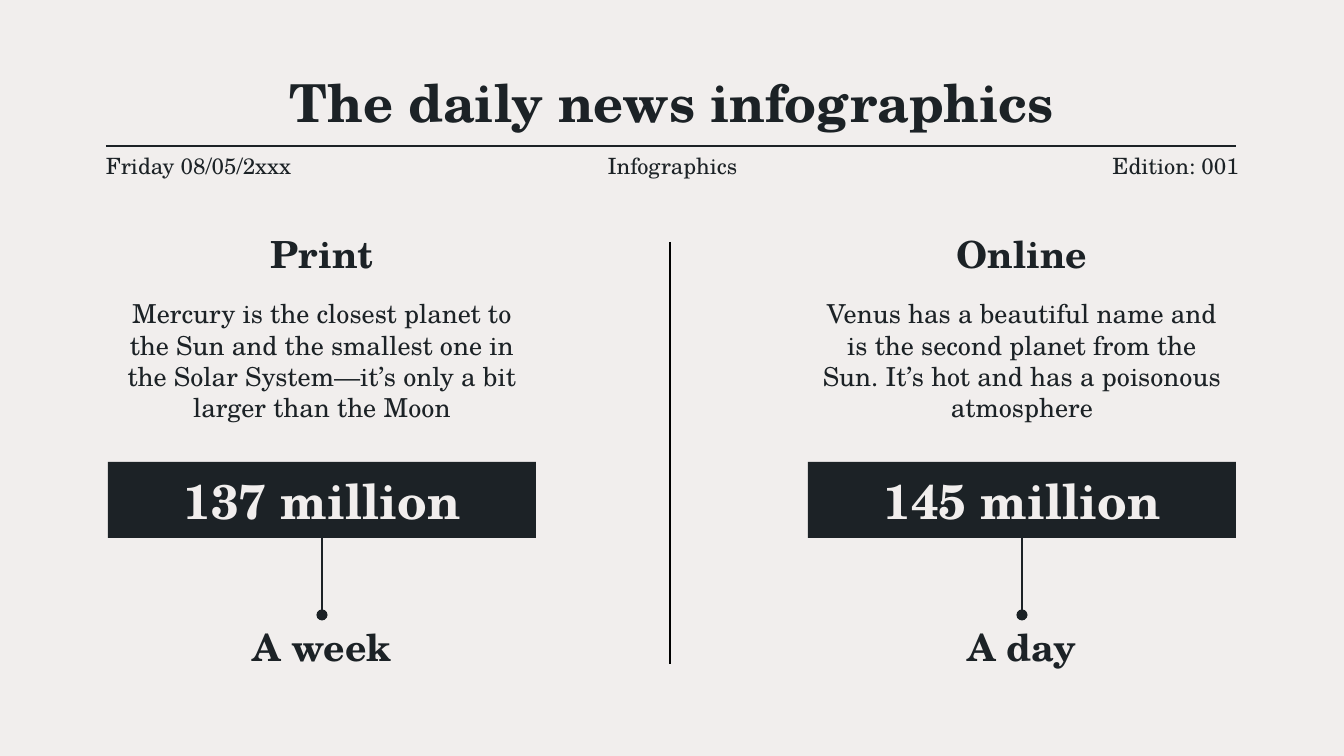
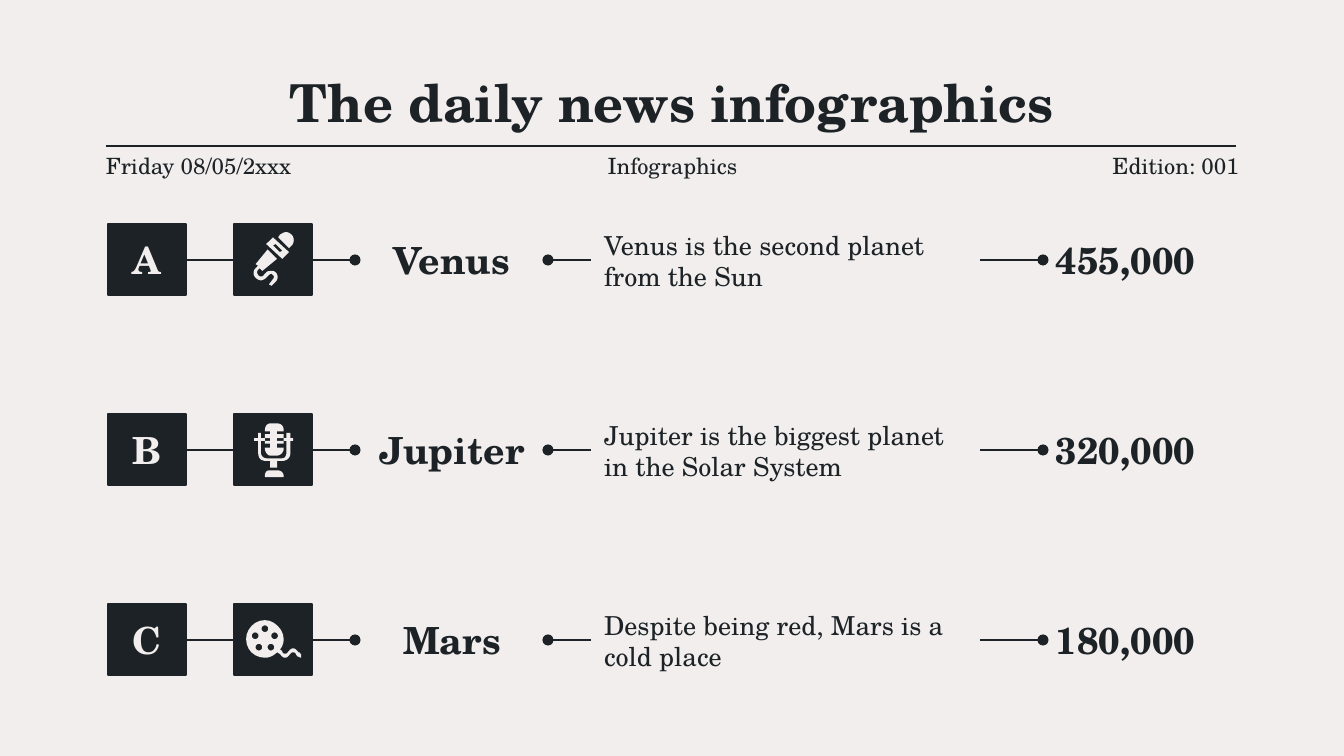
from math import cos, pi, sin

from lxml import etree
from pptx import Presentation
from pptx.dml.color import RGBColor
from pptx.enum.shapes import MSO_CONNECTOR, MSO_SHAPE
from pptx.enum.text import MSO_ANCHOR, PP_ALIGN
from pptx.oxml.ns import qn
from pptx.util import Pt

PAPER = RGBColor(0xF1, 0xEE, 0xED)
INK = RGBColor(0x1C, 0x22, 0x26)
BLACK = RGBColor(0, 0, 0)
FONT = "TeX Gyre Schola"
LEFT, CENTER, RIGHT = PP_ALIGN.LEFT, PP_ALIGN.CENTER, PP_ALIGN.RIGHT
MIDDLE = MSO_ANCHOR.MIDDLE
RECTANGLE = MSO_SHAPE.RECTANGLE
STRAIGHT = MSO_CONNECTOR.STRAIGHT

EMU_PER_PX = 914400 / 134.4
ICON_UNIT = 1.344
CURVE_STEPS = 6

MARGIN = 108
STRIP = [("Friday 08/05/2xxx", LEFT), ("Infographics", CENTER), ("Edition: 001", RIGHT)]
CHANNELS = [
    ("Print", "Mercury is the closest planet to the Sun and the smallest one in "
     "the Solar System—it’s only a bit larger than the Moon", "137 million", "A week"),
    ("Online", "Venus has a beautiful name and is the second planet from the Sun. "
     "It’s hot and has a poisonous atmosphere", "145 million", "A day"),
]

HAND_MIC = [
    "M 31 15 L 36 20 34 21 29 16 M 29 10 L 24 15 36 26 41 21",
    "M 25 19 L 16 30 18 31 16 33 C 14 35 14 38 16 40 17 41 19 42 20 42 "
    "21 42 23 41 24 40 L 26 38 C 26 38 27 37 28 37 28 37 29 38 29 38 "
    "30 39 30 40 29 41 L 26 45 28 46 31 43 C 33 41 33 38 31 36 "
    "30 35 29 35 28 35 26 35 25 35 24 36 L 22 38 C 22 39 21 39 20 39 "
    "19 39 19 39 18 38 17 37 17 35 18 34 L 19 33 21 35 32 26",
    "M 39 6 C 37 6 36 7 34 8 34 9 33 9 33 10 L 41 18 "
    "C 42 17 42 17 43 16 45 14 45 10 43 8 42 7 40 6 39 6",
]
STUDIO_MIC = [
    "M 26 42 C 24 42 23 44 23 46 L 23 47 37 47 37 46 C 37 44 35 42 33 42",
    "M 18 14 L 18 18 15 18 15 20 18 20 18 29 C 18 33 20 35 24 35 "
    "L 27 35 27 40 32 40 32 35 36 35 C 39 35 42 33 42 29 "
    "L 42 20 44 20 44 18 42 18 42 14 39 14 39 18 37 18 37 20 39 20 39 29 "
    "C 39 31 38 33 36 33 L 24 33 C 22 33 20 31 20 29 "
    "L 20 20 23 20 23 18 20 18 20 14",
    "M 27 7 C 25 7 23 9 23 12 L 23 13 27 13 27 15 23 15 23 18 27 18 27 20 "
    "23 20 23 22 27 22 27 25 23 25 23 26 C 23 28 25 31 27 31 "
    "L 32 31 C 35 31 37 28 37 26 L 37 25 32 25 32 22 37 22 37 20 32 20 "
    "32 18 37 18 37 15 32 15 32 13 37 13 37 12 C 37 9 35 7 32 7",
]
FILM = (
    "M 23 12 C 15 12 9 19 9 26 9 34 15 40 23 40 27 40 30 38 32 36 "
    "33 36 33 37 34 37 35 38 36 40 38 40 40 40 41 38 42 37 43 36 43 36 44 36 "
    "45 36 45 36 46 37 46 38 47 38 47 39 48 39 49 40 50 40 L 50 37 "
    "C 50 37 49 37 49 37 49 36 49 36 48 36 47 35 46 33 44 33 "
    "42 33 41 35 40 36 39 37 39 37 38 37 37 37 37 37 36 36 36 35 35 34 34 34 "
    "36 32 37 29 37 26 37 19 30 12 23 12"
)


def ring(center_x, center_y, radius, count):
    angles = [2 * pi * i / count - pi / 2 for i in range(count)]
    return [(center_x + radius * cos(a), center_y + radius * sin(a)) for a in angles]


def outlines(path):
    """Turn a path of M, L and C commands into closed lists of points."""
    contours, command, pending = [], "", []
    for token in path.split():
        if token.isalpha():
            command = token
            continue
        pending.append(int(token))
        if len(pending) < (6 if command == "C" else 2):
            continue
        pairs = list(zip(pending[::2], pending[1::2]))
        pending = []
        if command == "M":
            contours.append(pairs)
        elif command == "L":
            contours[-1] += pairs
        else:
            curve = [contours[-1][-1]] + pairs
            for step in range(1, CURVE_STEPS + 1):
                t = step / CURVE_STEPS
                weights = ((1 - t) ** 3, 3 * t * (1 - t) ** 2, 3 * t * t * (1 - t), t ** 3)
                contours[-1].append(tuple(
                    sum(w * point[axis] for w, point in zip(weights, curve))
                    for axis in (0, 1)))
    return contours


REEL_HOLES = [ring(x, y, 2.5, 16) for x, y in ring(23, 26, 7.6, 5)]
ROWS = [
    ("A", [outlines(p) for p in HAND_MIC], "Venus",
     "Venus is the second planet from the Sun", "455,000"),
    ("B", [outlines(p) for p in STUDIO_MIC], "Jupiter",
     "Jupiter is the biggest planet in the Solar System", "320,000"),
    ("C", [outlines(FILM) + REEL_HOLES], "Mars",
     "Despite being red, Mars is a cold place", "180,000"),
]


def px(length):
    return round(length * EMU_PER_PX)


def write(shape, text, size=14, bold=False, color=INK, align=CENTER, inset=13):
    frame = shape.text_frame
    frame.word_wrap = True
    frame.vertical_anchor = MIDDLE
    frame.margin_left = frame.margin_right = px(inset)
    frame.margin_top = frame.margin_bottom = px(inset)
    paragraph = frame.paragraphs[0]
    paragraph.alignment = align
    run = paragraph.add_run()
    run.text = text
    run.font.name = FONT
    run.font.size = Pt(size)
    run.font.bold = bold
    run.font.color.rgb = color


def add_text(slide, x, y, w, h, text, **style):
    write(slide.shapes.add_textbox(px(x), px(y), px(w), px(h)), text, **style)


def add_block(slide, x, y, w, h, outlined=False):
    block = slide.shapes.add_shape(RECTANGLE, px(x), px(y), px(w), px(h))
    block.shadow.inherit = False
    block.fill.solid()
    block.fill.fore_color.rgb = INK
    if outlined:
        block.line.color.rgb = INK
        block.line.width = Pt(0.75)
    else:
        block.line.fill.background()
    return block


def add_line(slide, x1, y1, x2, y2, color=INK, width=0.75, dot=False):
    line = slide.shapes.add_connector(STRAIGHT, px(x1), px(y1), px(x2), px(y2))
    line.line.color.rgb = color
    line.line.width = Pt(width)
    if dot:
        etree.SubElement(line.line._get_or_add_ln(), qn("a:tailEnd"), type="oval")
    etree.SubElement(line._element.spPr, qn("a:effectLst"))


def add_icon(slide, x, y, parts):
    for contours in parts:
        placed = [[(px(x + u * ICON_UNIT), px(y + v * ICON_UNIT)) for u, v in contour]
                  for contour in contours]
        pen = slide.shapes.build_freeform(*placed[0][0])
        for index, contour in enumerate(placed):
            if index:
                pen.move_to(*contour[0])
            pen.add_line_segments(contour[1:], close=True)
        piece = pen.convert_to_shape()
        piece.shadow.inherit = False
        piece.fill.solid()
        piece.fill.fore_color.rgb = PAPER
        piece.line.fill.background()


def add_page(deck):
    slide = deck.slides.add_slide(deck.slide_layouts[6])
    slide.background.fill.solid()
    slide.background.fill.fore_color.rgb = PAPER
    add_line(slide, 106, 146, 1236, 146, width=1.5)
    add_text(slide, MARGIN, 71, 1128, 62, "The daily news infographics", size=28, bold=True)
    for column, (label, align) in enumerate(STRIP):
        add_text(slide, 106 + 453 * column, 153, 227, 26, label,
                 size=12, align=align, inset=0)
    return slide


def add_channel(slide, x, y, w, heading, description, figure, period):
    add_text(slide, x, y, w, 62, heading, size=20, bold=True)
    add_text(slide, x, y + 65, w, 145, description)
    write(add_block(slide, x, y + 239, w, 76), figure, size=26, bold=True, color=PAPER)
    add_line(slide, x + w / 2, y + 315, x + w / 2, y + 392, dot=True)
    add_text(slide, x, y + 393, w, 62, period, size=20, bold=True)


def add_planet_row(slide, x, y, letter, icon, planet, description, amount):
    write(add_block(slide, x, y, 78, 71, outlined=True), letter,
          size=20, bold=True, color=PAPER)
    add_block(slide, x + 126, y, 78, 71, outlined=True)
    add_icon(slide, x + 126, y, icon)
    add_text(slide, x + 247, y + 7, 194, 58, planet, size=20, bold=True)
    add_text(slide, x + 483, y + 2, 388, 69, description, align=LEFT)
    add_text(slide, x + 935, y + 7, 194, 58, amount, size=20, bold=True, align=LEFT)
    for start, end, dot in [(79, 126, False), (205, 247, True),
                            (483, 440, True), (872, 935, True)]:
        add_line(slide, x + start, y + 36, x + end, y + 36, dot=dot)


def main():
    deck = Presentation()
    deck.slide_width, deck.slide_height = px(1344), px(756)

    comparison = add_page(deck)
    for column, channel in enumerate(CHANNELS):
        add_channel(comparison, MARGIN + 700 * column, 223, 428, *channel)
    add_line(comparison, 670, 242, 670, 664, color=BLACK)

    planets = add_page(deck)
    for index, row in enumerate(ROWS):
        add_planet_row(planets, MARGIN, 224 + 190 * index, *row)

    deck.save("out.pptx")


if __name__ == "__main__":
    main()
